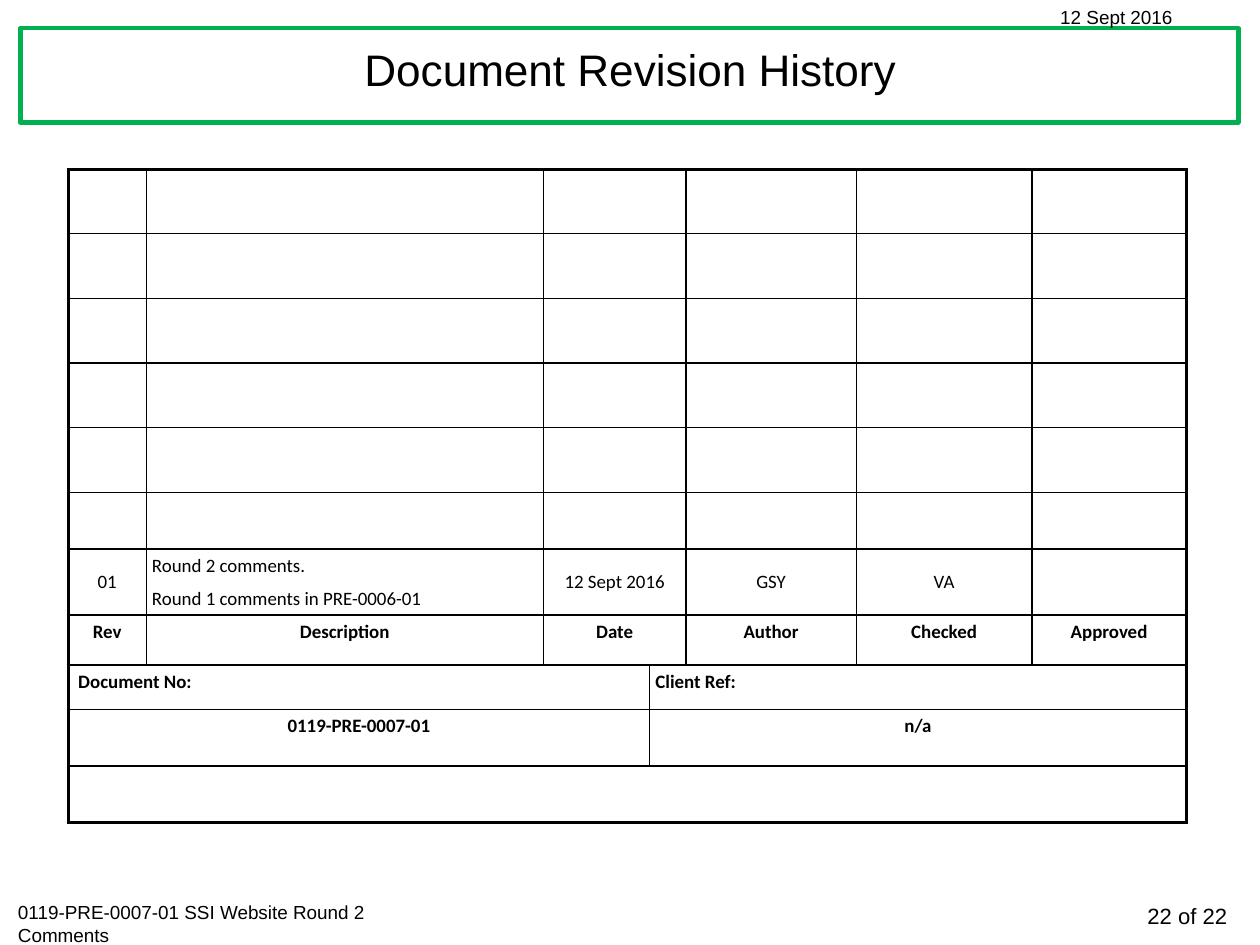
import pptx
import pptx.dml.color
import pptx.enum.shapes
import pptx.enum.text
import pptx.util
from lxml import etree
from pptx.oxml.ns import qn

ALIGN = pptx.enum.text.PP_ALIGN
ANCHOR = pptx.enum.text.MSO_ANCHOR
INCH = pptx.util.Inches
PT = pptx.util.Pt

SLIDE = (11.11, 8.33)
BLACK, WHITE, GREEN = "000000", "FFFFFF", "00B050"
TITLE = "Document Revision History"

# text, box, size, alignment
MARGIN_NOTES = [
    ("22 of 22", (9.4, 7.91, 1.52, 0.34), 14, ALIGN.RIGHT),
    ("0119-PRE-0007-01 SSI Website Round 2 Comments",
     (0.06, 7.89, 3.99, 0.5), 12, ALIGN.LEFT),
    ("12 Sept 2016", (9.25, 0, 1.68, 0.3), 12, ALIGN.LEFT),
]

TABLE_AT = (0.6, 1.49)
COLUMNS = [0.69, 3.5, 0.94, 0.32, 1.5, 1.55, 1.36]
REVISION, REFERENCE, WHOLE = (1, 1, 2, 1, 1, 1), (3, 4), (7,)
# height, column spans, cell texts, bold, anchor
ROWS = [(h, REVISION, [], False, ANCHOR.TOP) for h in [0.57] * 5 + [0.5]] + [
    (0.58, REVISION,
     ["01", "Round 2 comments.\nRound 1 comments in PRE-0006-01",
      "12 Sept 2016", "GSY", "VA"], False, ANCHOR.MIDDLE),
    (0.44, REVISION,
     ["Rev", "Description", "Date", "Author", "Checked", "Approved"],
     True, ANCHOR.TOP),
    (0.39, REFERENCE, ["Document No:", "Client Ref:"], True, ANCHOR.TOP),
    (0.5, REFERENCE, ["0119-PRE-0007-01", "n/a"], True, ANCHOR.TOP),
    (0.5, WHOLE, [], False, ANCHOR.TOP),
]
LEFT_ALIGNED = {(6, 1), (8, 0), (8, 3)}
INDENTED = (8, 0)
OUTER, INNER = 2.25, 1


def rgb(color):
    return pptx.dml.color.RGBColor.from_string(color)


def inches(values):
    return [INCH(v) for v in values]


def add_run(p, text, size, font, bold=False):
    r = p.add_run()
    r.text = text
    r.font.size, r.font.name, r.font.bold = PT(size), font, bold
    r.font.color.rgb = rgb(BLACK)


def set_borders(cell, widths):
    """Draw the left, right, top and bottom borders, in that order."""
    tcPr = cell._tc.get_or_add_tcPr()
    for side, width in zip("LRTB", widths):
        ln = etree.SubElement(tcPr, qn(f"a:ln{side}"), w=str(PT(width)))
        fill = etree.SubElement(ln, qn("a:solidFill"))
        etree.SubElement(fill, qn("a:srgbClr"), val=BLACK)


def fill_cell(cell, text, align, anchor, bold):
    cell.vertical_anchor = anchor
    cell.margin_left = cell.margin_right = INCH(0.05)
    cell.margin_top = cell.margin_bottom = INCH(0.05)
    tf = cell.text_frame
    for i, line in enumerate(text.split("\n")):
        p = tf.add_paragraph() if i else tf.paragraphs[0]
        p.alignment = align
        if i:
            p.space_before = PT(6)
        add_run(p, line, 12, "Calibri", bold)


def add_title(s):
    title = s.shapes.title
    title.left, title.top, title.width, title.height = inches((0.21, 0.25, 10.69, 0.78))
    tf = title.text_frame
    tf.vertical_anchor = ANCHOR.MIDDLE
    p = tf.paragraphs[0]
    p.alignment, p.line_spacing = ALIGN.CENTER, 0.9
    add_run(p, TITLE, 28, "Arial")

    frame = s.shapes.add_shape(pptx.enum.shapes.MSO_SHAPE.RECTANGLE,
                               *inches((0.18, 0.25, 10.74, 0.83)))
    frame.shadow.inherit = False
    frame.fill.solid()
    frame.fill.fore_color.rgb = rgb(WHITE)
    frame.line.color.rgb = rgb(GREEN)
    frame.line.width = PT(2.75)
    title.element.addprevious(frame.element)


def add_margin_notes(s):
    for text, box, size, align in MARGIN_NOTES:
        tf = s.shapes.add_textbox(*inches(box)).text_frame
        tf.word_wrap = True
        tf.paragraphs[0].alignment = align
        add_run(tf.paragraphs[0], text, size, "Arial")


def add_history(s):
    size = (sum(COLUMNS), sum(row[0] for row in ROWS))
    table = s.shapes.add_table(len(ROWS), len(COLUMNS),
                               *inches(TABLE_AT + size)).table
    table.first_row = table.horz_banding = False
    for column, width in zip(table.columns, COLUMNS):
        column.width = INCH(width)

    for y, (height, spans, texts, bold, anchor) in enumerate(ROWS):
        table.rows[y].height = INCH(height)
        x = 0
        for i, span in enumerate(spans):
            cell = table.cell(y, x)
            if span > 1:
                cell.merge(table.cell(y, x + span - 1))
            at_edge = (x == 0, x + span == len(COLUMNS), y == 0, y == len(ROWS) - 1)
            set_borders(cell, [OUTER if edge else INNER for edge in at_edge])
            cell.fill.background()
            if i < len(texts):
                align = ALIGN.LEFT if (y, x) in LEFT_ALIGNED else ALIGN.CENTER
                fill_cell(cell, texts[i], align, anchor, bold)
            if (y, x) == INDENTED:
                cell.margin_left = INCH(0.09)
            x += span


def main():
    prs = pptx.Presentation()
    prs.slide_width, prs.slide_height = inches(SLIDE)
    s = prs.slides.add_slide(prs.slide_layouts[5])
    add_title(s)
    add_margin_notes(s)
    add_history(s)
    prs.save("out.pptx")


if __name__ == "__main__":
    main()
